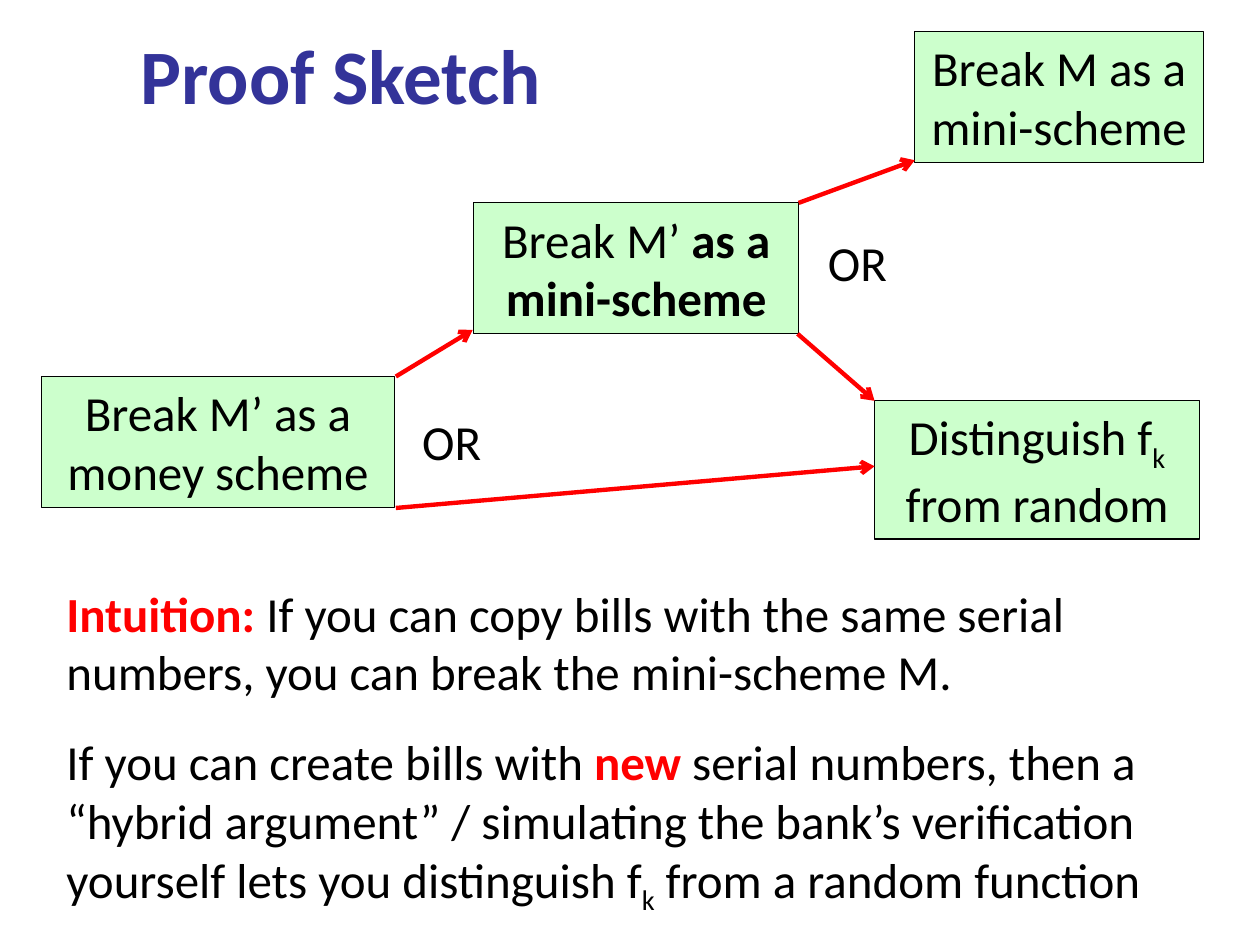
from dataclasses import dataclass

from lxml import etree
from pptx import Presentation
from pptx import util as u
from pptx.dml import color
from pptx.enum import shapes, text
from pptx.oxml import ns

FONT = "Calibri"
BLACK, RED, NAVY, MINT = "000000", "FF0000", "333399", "CCFFCC"


@dataclass(frozen=True)
class Span:
    words: str
    bold: bool = False
    hue: str = BLACK
    subscript: bool = False


@dataclass(frozen=True)
class Step:
    left: float
    top: float
    width: float
    height: float
    spans: tuple[Span, ...]


@dataclass(frozen=True)
class Arrow:
    start: tuple[float, float]
    end: tuple[float, float]


SUB_K = Span("k", subscript=True)

STEPS = (
    Step(9.55, 4.09, 6.55, 2.64,
         (Span("Break M’ "), Span("as a mini-scheme", bold=True))),
    Step(18.44, 0.64, 5.82, 2.64, (Span("Break M as a mini-scheme"),)),
    Step(17.63, 8.08, 6.55, 2.79,
         (Span("Distinguish f"), SUB_K, Span(" from random"))),
    Step(0.84, 7.59, 7.11, 2.64, (Span("Break M’ as a money scheme"),)),
)

ALTERNATIVES = ((15.8, 4.57), (7.62, 8.18))

ARROWS = (
    Arrow((7.98, 7.59), (9.53, 6.65)),
    Arrow((7.98, 10.24), (17.63, 9.4)),
    Arrow((16.08, 6.73), (17.63, 8.08)),
    Arrow((16.1, 4.09), (18.44, 3.23)),
)

INTUITION = (
    (Span("Intuition:", bold=True, hue=RED),
     Span(" If you can copy bills with the same serial numbers, "
          "you can break the mini-scheme M.")),
    (Span("If you can create bills with "),
     Span("new", bold=True, hue=RED),
     Span(" serial numbers, then a “hybrid argument” / simulating the bank’s "
          "verification yourself lets you distinguish f"),
     SUB_K,
     Span(" from a random function")),
)


def rgb(value: str) -> color.RGBColor:
    return color.RGBColor.from_string(value)


def write(frame, paragraphs, *, size=28, align=text.PP_ALIGN.CENTER,
          anchor=text.MSO_ANCHOR.TOP, gap=17.5) -> None:
    frame.word_wrap = True
    frame.auto_size = text.MSO_AUTO_SIZE.NONE
    frame.vertical_anchor = anchor
    for index, spans in enumerate(paragraphs):
        paragraph = frame.add_paragraph() if index else frame.paragraphs[0]
        paragraph.alignment = align
        paragraph.space_before = u.Pt(gap if index else 0)
        for span in spans:
            run = paragraph.add_run()
            run.text = span.words
            run.font.name = FONT
            run.font.size = u.Pt(size)
            run.font.bold = span.bold
            run.font.color.rgb = rgb(span.hue)
            if span.subscript:
                run._r.get_or_add_rPr().set("baseline", "-25000")


def draw_step(slide, step: Step) -> None:
    box = slide.shapes.add_shape(
        shapes.MSO_SHAPE.RECTANGLE, u.Cm(step.left), u.Cm(step.top),
        u.Cm(step.width), u.Cm(step.height))
    box.shadow.inherit = False
    box.fill.solid()
    box.fill.fore_color.rgb = rgb(MINT)
    box.line.color.rgb = rgb(BLACK)
    box.line.width = u.Pt(0.75)
    write(box.text_frame, [step.spans])


def draw_arrow(slide, arrow: Arrow) -> None:
    link = slide.shapes.add_connector(
        shapes.MSO_CONNECTOR.STRAIGHT,
        *(u.Cm(value) for value in arrow.start + arrow.end))
    link.line.color.rgb = rgb(RED)
    link.line.width = u.Pt(2.5)
    etree.SubElement(link.line._get_or_add_ln(), ns.qn("a:tailEnd"), type="arrow")
    etree.SubElement(link._element.spPr, ns.qn("a:effectLst"))


def add_text(slide, left: float, top: float, width: float, height: float,
             paragraphs, **style) -> None:
    box = slide.shapes.add_textbox(
        u.Cm(left), u.Cm(top), u.Cm(width), u.Cm(height))
    write(box.text_frame, paragraphs, **style)


def main() -> None:
    deck = Presentation()
    deck.slide_width, deck.slide_height = u.Cm(25.4), u.Cm(19.05)
    slide = deck.slides.add_slide(deck.slide_layouts[5])

    title = slide.shapes.title
    title.left, title.top = u.Cm(0.84), u.Cm(0.43)
    title.width, title.height = u.Cm(12.07), u.Cm(2.13)
    write(title.text_frame, [(Span("Proof Sketch", bold=True, hue=NAVY),)], size=44)

    for step in STEPS:
        draw_step(slide, step)
    for left, top in ALTERNATIVES:
        add_text(slide, left, top, 2.97, 1.45, [(Span("OR"),)])
    for arrow in ARROWS:
        draw_arrow(slide, arrow)
    add_text(slide, 1.09, 11.63, 23.47, 6.96, INTUITION, align=text.PP_ALIGN.LEFT)

    deck.save("out.pptx")


if __name__ == "__main__":
    main()
